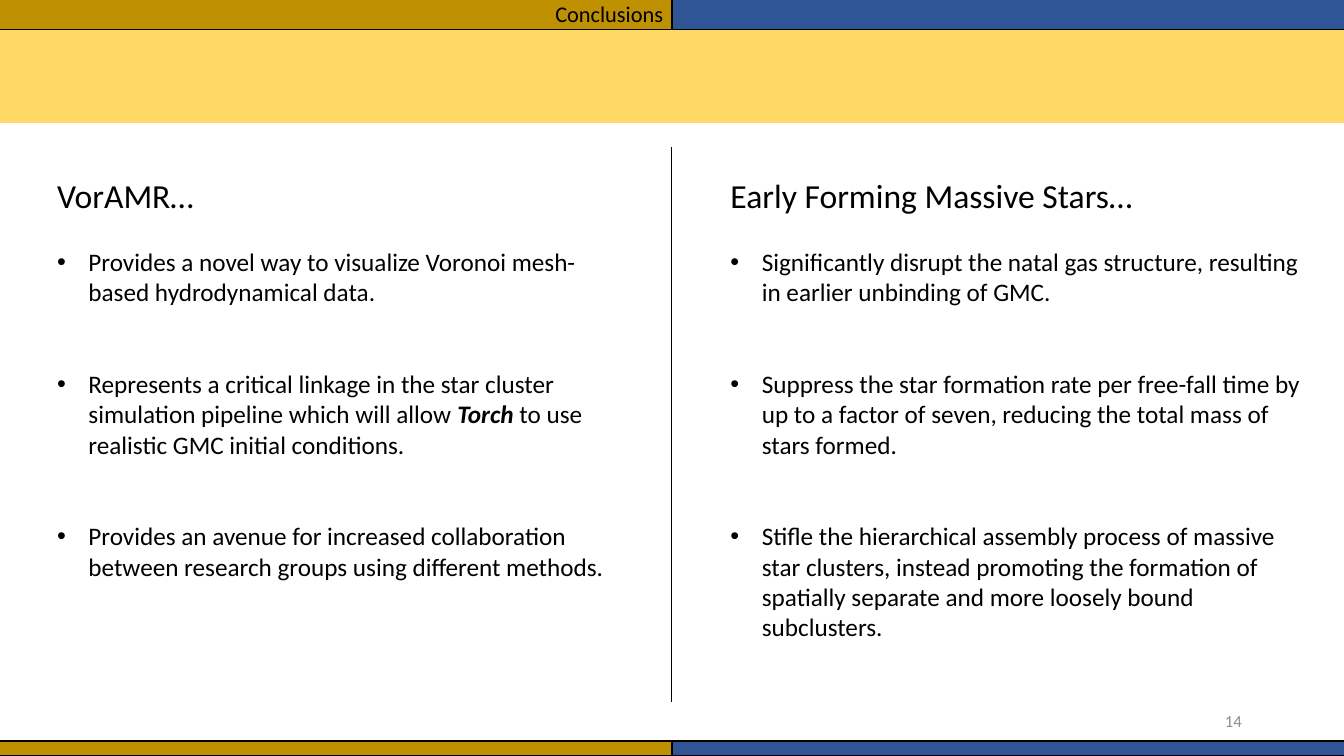
from dataclasses import dataclass

from lxml import etree
from pptx import Presentation
from pptx import util as u
from pptx.dml.color import RGBColor
from pptx.enum import shapes, text
from pptx.oxml import ns


@dataclass(frozen=True)
class Theme:
    font: str = "Calibri"
    ink: str = "000000"
    gray: str = "8C8C8C"
    gold: str = "BF9000"
    blue: str = "2F5597"
    sand: str = "FFD966"
    head: int = 24
    body: int = 18
    top: int = 16
    note: int = 12
    gap: int = 22  # height of one body line, in points


class Deck:
    def __init__(self, theme):
        self.theme = theme
        self.prs = Presentation()
        self.prs.slide_width = u.Cm(33.87)
        self.prs.slide_height = u.Cm(19.05)
        self.slide = self.prs.slides.add_slide(self.prs.slide_layouts[5])

    def place(self, shape, x, y, w, h):
        shape.left, shape.top = u.Cm(x), u.Cm(y)
        shape.width, shape.height = u.Cm(w), u.Cm(h)

    def bar(self, x, y, w, h, fill, edge=True):
        bar = self.slide.shapes.add_shape(
            shapes.MSO_SHAPE.RECTANGLE, u.Cm(x), u.Cm(y), u.Cm(w), u.Cm(h))
        bar.shadow.inherit = False
        bar.fill.solid()
        bar.fill.fore_color.rgb = RGBColor.from_string(fill)
        if edge:
            bar.line.color.rgb = RGBColor.from_string(self.theme.ink)
            bar.line.width = u.Pt(1)
        else:
            bar.line.fill.background()

    def rule(self, x, top, end):
        line = self.slide.shapes.add_connector(
            shapes.MSO_CONNECTOR.STRAIGHT, u.Cm(x), u.Cm(top), u.Cm(x), u.Cm(end))
        line.line.color.rgb = RGBColor.from_string(self.theme.ink)
        line.line.width = u.Pt(1)
        etree.SubElement(line._element.spPr, ns.qn("a:effectLst"))

    def frame(self, shape, anchor=text.MSO_ANCHOR.TOP):
        frame = shape.text_frame
        frame.word_wrap = True
        frame.auto_size = text.MSO_AUTO_SIZE.NONE
        frame.vertical_anchor = anchor
        return frame

    def run(self, para, words, size, color=None, strong=False):
        run = para.add_run()
        run.text = words
        font = run.font
        font.name, font.size = self.theme.font, u.Pt(size)
        font.bold = font.italic = strong
        font.color.rgb = RGBColor.from_string(color or self.theme.ink)

    def title(self, words, *box):
        title = self.slide.shapes.title
        self.place(title, *box)
        # Bring the title in front of the bars
        title._element.getparent().append(title._element)
        para = self.frame(title).paragraphs[0]
        para.alignment = text.PP_ALIGN.LEFT
        self.run(para, words, self.theme.top)

    def number(self, words, *box):
        note = self.slide.shapes.add_textbox(*map(u.Cm, box))
        para = self.frame(note, text.MSO_ANCHOR.MIDDLE).paragraphs[0]
        para.alignment = text.PP_ALIGN.RIGHT
        self.run(para, words, self.theme.note, self.theme.gray)

    def bullet(self, para):
        props = para._p.get_or_add_pPr()
        props.set("marL", str(u.Cm(0.79)))
        props.set("indent", str(-u.Cm(0.79)))
        font = etree.SubElement(props, ns.qn("a:buFont"))
        font.set("typeface", "Arial")
        etree.SubElement(props, ns.qn("a:buChar")).set("char", "•")

    def column(self, head, points, *box):
        shape = self.slide.shapes.add_textbox(*map(u.Cm, box))
        frame = self.frame(shape)
        self.run(frame.paragraphs[0], head, self.theme.head)
        for i, point in enumerate(points):
            para = frame.add_paragraph()
            para.space_before = u.Pt(self.theme.gap * (2 if i else 1))
            self.bullet(para)
            # Every second part of a point is stressed
            for j, part in enumerate(point):
                self.run(para, part, self.theme.body, strong=j % 2 == 1)


def main():
    theme = Theme()
    deck = Deck(theme)

    # Bands at top and bottom
    deck.bar(-0.02, 0.74, 33.91, 2.36, theme.sand, edge=False)
    for y, h in ((-0.02, 0.76), (18.67, 0.38)):
        deck.bar(-0.02, y, 33.91, h, theme.gold)
        deck.bar(16.94, y, 16.94, h, theme.blue)

    # Title and page number
    deck.title("Conclusions", 13.74, -0.13, 3.51, 0.94)
    deck.number("14", 23.93, 17.65, 7.62, 1.01)

    # Two columns with a divider
    deck.column("VorAMR…", [
        ["Provides a novel way to visualize Voronoi mesh-based hydrodynamical data."],
        ["Represents a critical linkage in the star cluster simulation pipeline "
         "which will allow ", "Torch", " to use realistic GMC initial conditions."],
        ["Provides an avenue for increased collaboration between research groups "
         "using different methods."],
    ], 1.19, 4.29, 14.86, 12.83)
    deck.rule(16.92, 3.71, 17.68)
    deck.column("Early Forming Massive Stars…", [
        ["Significantly disrupt the natal gas structure, resulting in earlier "
         "unbinding of GMC."],
        ["Suppress the star formation rate per free-fall time by up to a factor "
         "of seven, reducing the total mass of stars formed."],
        ["Stifle the hierarchical assembly process of massive star clusters, "
         "instead promoting the formation of spatially separate and more loosely "
         "bound subclusters."],
    ], 18.16, 4.29, 14.86, 15.14)

    deck.prs.save("out.pptx")


if __name__ == "__main__":
    main()
